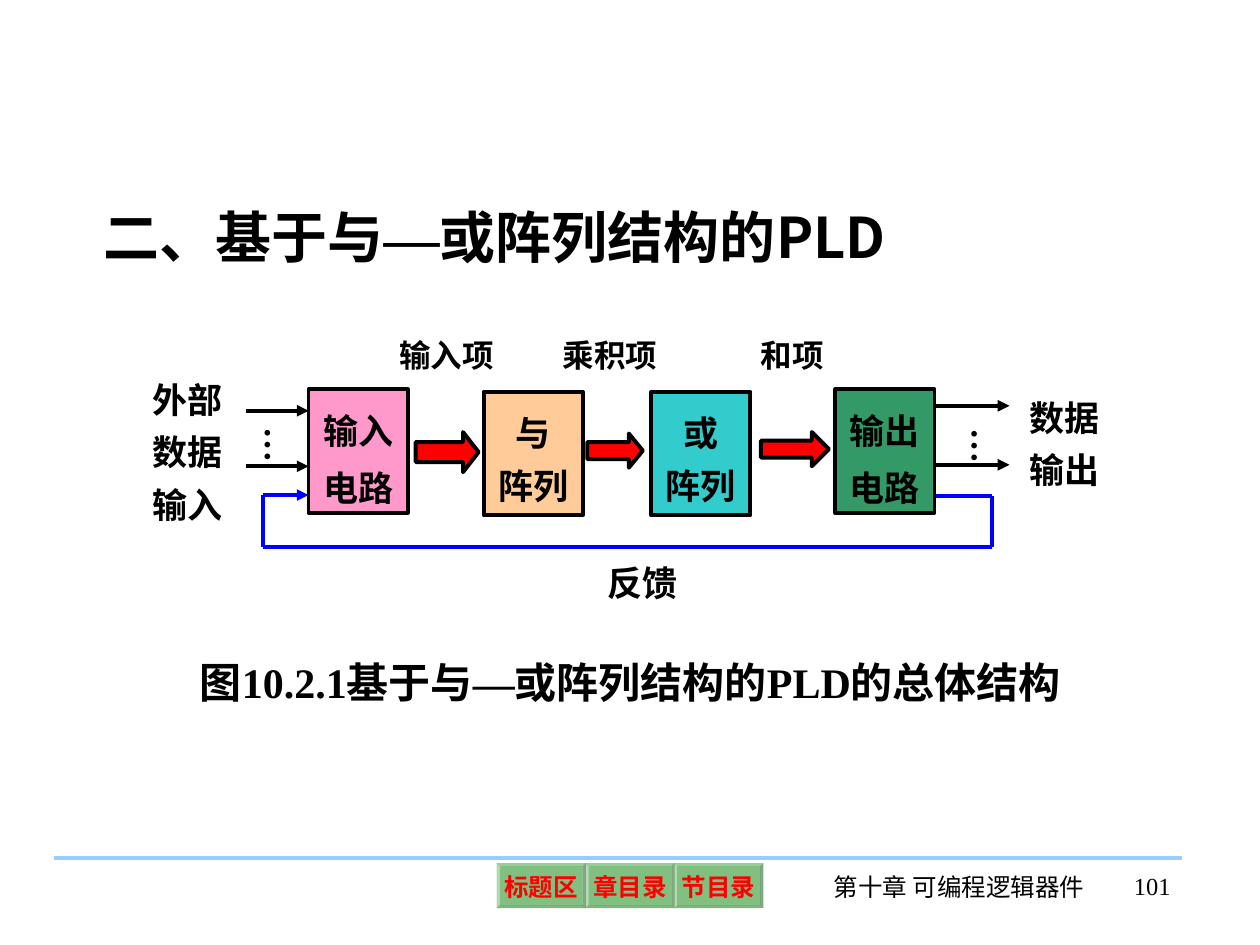
from itertools import pairwise
from lxml.etree import SubElement
from pptx import Presentation
from pptx.dml.color import RGBColor
from pptx.enum.shapes import MSO_CONNECTOR as Link, MSO_SHAPE as Kind
from pptx.enum.text import MSO_ANCHOR as Anchor, MSO_AUTO_SIZE as Fit, PP_ALIGN as Align
from pptx.oxml.ns import qn
from pptx.util import Cm, Pt

BLACK = RGBColor(0, 0, 0)
RED = RGBColor(255, 0, 0)
BLUE = RGBColor(0, 0, 255)
SKY = RGBColor(0x99, 0xCC, 0xFF)
GREEN = RGBColor(0, 0x80, 0)
PINK = RGBColor(0xFF, 0x99, 0xCC)
PEACH = RGBColor(0xFF, 0xCC, 0x99)
TEAL = RGBColor(0x33, 0xCC, 0xCC)
LEAF = RGBColor(0x33, 0x99, 0x66)
TIMES = "Times New Roman"
SANS = "Noto Sans CJK SC"

TITLE = [("二、基于与", SANS), ("—", TIMES), ("或阵列结构的PLD", SANS)]
CAPTION = [("图", SANS), ("10.2.1", TIMES), ("基于与", SANS), ("—", TIMES),
           ("或阵列结构的", SANS), ("PLD", TIMES), ("的总体结构", SANS)]
BLOCKS = [(6.22, 7.85, PINK, ["输入", "电路"], 33),
          (9.75, 7.9, PEACH, ["与", "阵列"], 30),
          (13.13, 7.9, TEAL, ["或", "阵列"], 30),
          (16.84, 7.85, LEAF, ["输出", "电路"], 33)]
ARROWS = [(8.38, 8.71, 1.27, 0.81, 0.39),
          (11.84, 8.74, 1.12, 0.69, 0.41),
          (15.34, 8.71, 1.37, 0.69, 0.5)]
LABELS = [(7.8, 6.6, ["输入项"], 18, 23), (11.1, 6.6, ["乘积项"], 18, 23),
          (15.09, 6.6, ["和项"], 18, 23), (11.99, 11.13, ["反馈"], 20, 26),
          (2.82, 7.29, ["外部", "数据", "输入"], 20, 30),
          (20.5, 7.65, ["数据", "输出"], 20, 30)]
SIGNALS = [(4.95, 6.22, 8.28), (4.95, 6.22, 9.4),
           (18.87, 20.35, 8.18), (18.87, 20.35, 9.37)]
LOOP = [(18.87, 10), (19.99, 10), (19.99, 11.02), (5.31, 11.02), (5.31, 9.98), (6.22, 9.98)]
DOTS = [(4.83, 8.36), (19.08, 8.38)]
FOOTER = [(16.21, 17.42, 6.25, "第十章 可编程逻辑器件", Align.CENTER),
          (21.67, 17.4, 2.18, "101", Align.RIGHT)]
BUTTONS = ["标题区", "章目录", "节目录"]

deck = Presentation()
deck.slide_width, deck.slide_height = Cm(25.4), Cm(19.05)
slide = deck.slides.add_slide(deck.slide_layouts[5])
shapes = slide.shapes


def style(font, size, face=TIMES, east=SANS, color=BLACK, bold=True):
    font.size, font.bold, font.name = Pt(size), bold, face
    font.color.rgb = color
    SubElement(font._rPr, qn("a:ea")).set("typeface", east)


def write(shape, lines, size, pitch=None, align=Align.LEFT, **look):
    frame = shape.text_frame
    frame.text = "\n".join(lines)
    frame.word_wrap = True
    for para in frame.paragraphs:
        para.alignment = align
        if pitch:
            para.line_spacing = Pt(pitch)
        style(para.font, size, **look)
    return frame


def mix(shape, parts, size, pitch):
    frame = shape.text_frame
    frame.word_wrap, frame.auto_size = True, Fit.NONE
    frame.vertical_anchor = Anchor.TOP
    para = frame.paragraphs[0]
    para.alignment, para.line_spacing = Align.LEFT, Pt(pitch)
    for text, face in parts:
        run = para.add_run()
        run.text = text
        style(run.font, size, face, face)


def box(x, y, w, h):
    return shapes.add_textbox(Cm(x), Cm(y), Cm(w), Cm(h))


def solid(kind, x, y, w, h, color, edge=True):
    shape = shapes.add_shape(kind, Cm(x), Cm(y), Cm(w), Cm(h))
    shape.shadow.inherit = False
    shape.fill.solid()
    shape.fill.fore_color.rgb = color
    if edge:
        shape.line.color.rgb, shape.line.width = BLACK, Pt(2.25)
    else:
        shape.line.fill.background()
    return shape


def inset(frame, side, ends):
    frame.margin_left = frame.margin_right = Cm(side)
    frame.margin_top = frame.margin_bottom = Cm(ends)


def wire(start, end, color, head=False):
    line = shapes.add_connector(Link.STRAIGHT, *map(Cm, start + end))
    line.line.color.rgb, line.line.width = color, Pt(2.25)
    if head:
        SubElement(line.line._get_or_add_ln(), qn("a:tailEnd")).set("type", "triangle")
    SubElement(line._element.spPr, qn("a:effectLst"))


title = shapes.title
title.left, title.top, title.width, title.height = map(Cm, (1.83, 3.86, 21.67, 1.63))
inset(title.text_frame, 0.25, 0.13)
mix(title, TITLE, 32, 41)

for x, y, color, lines, pitch in BLOCKS:
    block = solid(Kind.RECTANGLE, x, y, 2, 2.49, color)
    frame = write(block, lines, 20, pitch, Align.CENTER)
    frame.vertical_anchor = Anchor.MIDDLE
    inset(frame, 0, 0)

for x, y, w, h, tip in ARROWS:
    solid(Kind.RIGHT_ARROW, x, y, w, h, RED).adjustments[1] = tip

for left, right, y in SIGNALS:
    wire((left, y), (right, y), BLACK, True)
for start, end in pairwise(LOOP):
    wire(start, end, BLUE, end == LOOP[-1])

for x, y, lines, size, pitch in LABELS:
    wide = len(lines[0]) * size * 0.0353 + 0.7
    write(box(x, y, wide, len(lines) * pitch * 0.0353 + 0.25), lines, size, pitch)

for x, y in DOTS:
    frame = write(box(x, y, 1.35, 0.97), ["…"], 20, east=TIMES)
    frame.word_wrap = False
    inset(frame, 0.13, 0.25)
    frame._txBody.bodyPr.set("vert", "eaVert")

mix(box(3.78, 13.1, 17.93, 2.29), CAPTION, 24, 28.8)

wire((1.09, 17.3), (23.83, 17.3), SKY)
for x, y, w, text, align in FOOTER:
    write(box(x, y, w, 1.27), [text], 14, 18, align, bold=False)

for i, text in enumerate(BUTTONS):
    button = solid(Kind.BEVEL, 10.01 + 1.79 * i, 17.4, 1.8, 0.91, GREEN, False)
    button.adjustments[0] = 0.07
    tint = button._element.spPr.find(qn("a:solidFill"))[0]
    SubElement(tint, qn("a:alpha")).set("val", "49000")
    frame = write(button, [text], 14, 18, Align.CENTER, color=RED)
    frame.word_wrap, frame.vertical_anchor = False, Anchor.MIDDLE
    inset(frame, 0.1, 0.1)

deck.save("out.pptx")
